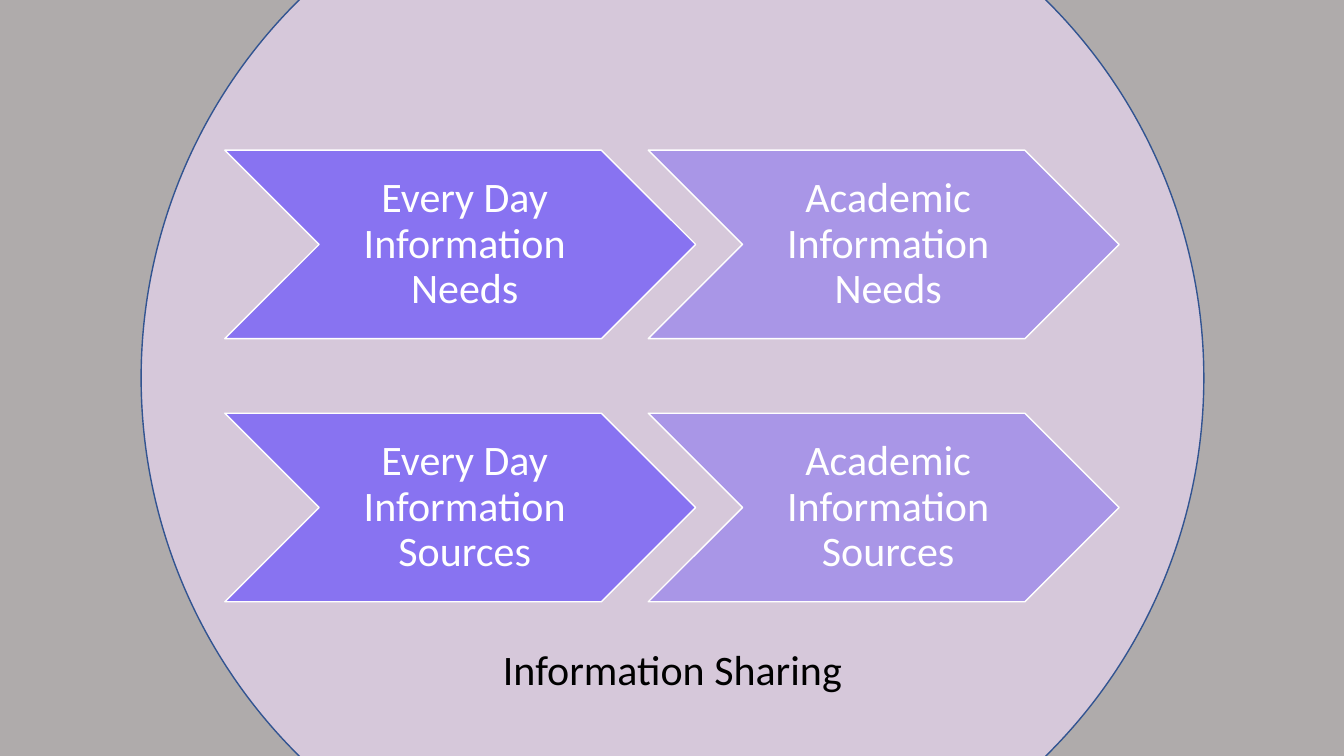
from pptx import Presentation
from pptx.dml.color import RGBColor
from pptx.enum.shapes import MSO_SHAPE as Shape
from pptx.enum.text import MSO_ANCHOR as Anchor, PP_ALIGN as Align
from pptx.util import Inches, Pt

GRAY = RGBColor(0xAF, 0xAB, 0xAB)
MAUVE = RGBColor(0xD6, 0xC8, 0xDA)
BLUE = RGBColor(0x32, 0x54, 0x91)
VIOLET = RGBColor(0x88, 0x73, 0xF1)
LILAC = RGBColor(0xA9, 0x96, 0xE7)
WHITE = RGBColor(0xFF, 0xFF, 0xFF)
BLACK = RGBColor(0, 0, 0)

SCOPES = [("Every Day", VIOLET), ("Academic", LILAC)]
TOPICS = ["Needs", "Sources"]


def add_form(slide, kind, box, fill, line):
    form = slide.shapes.add_shape(kind, *map(Inches, box))
    form.shadow.inherit = False
    form.fill.solid()
    form.fill.fore_color.rgb = fill
    form.line.color.rgb = line
    form.line.width = Pt(1)
    return form


def write(frame, text, color):
    """Write one centred line of text that wraps in its frame."""
    frame.word_wrap = True
    para = frame.paragraphs[0]
    para.alignment = Align.CENTER
    run = para.add_run()
    run.text = text
    run.font.name = "Calibri"
    run.font.size = Pt(30)
    run.font.color.rgb = color
    return para


def add_arrow(slide, box, text, fill):
    arrow = add_form(slide, Shape.CHEVRON, box, fill, WHITE)
    frame = arrow.text_frame
    frame.vertical_anchor = Anchor.MIDDLE
    frame.margin_left = Inches(0.13)
    frame.margin_right = frame.margin_top = frame.margin_bottom = Inches(0.04)
    write(frame, text, WHITE).line_spacing = 0.9


def add_grid(slide, left, top, width, height):
    """Place one row of arrows per topic; arrows in a row interlock."""
    wide, high = 4.67, 1.87
    step = width - wide
    drop = height - high
    for row, topic in enumerate(TOPICS):
        for col, (scope, fill) in enumerate(SCOPES):
            box = left + col * step, top + row * drop, wide, high
            add_arrow(slide, box, f"{scope} Information {topic}", fill)


def add_label(slide, left, top, width, height):
    label = slide.shapes.add_textbox(*map(Inches, (left, top, width, height)))
    write(label.text_frame, "Information Sharing", BLACK)


def main():
    deck = Presentation()
    deck.slide_width = Inches(13.33)
    deck.slide_height = Inches(7.5)
    slide = deck.slides.add_slide(deck.slide_layouts[6])
    back = slide.background.fill
    back.solid()
    back.fore_color.rgb = GRAY
    add_form(slide, Shape.OVAL, (1.4, -1.52, 10.54, 10.54), MAUVE, BLUE)
    add_grid(slide, 2.23, 1.49, 8.87, 4.48)
    add_label(slide, 3.38, 6.33, 6.58, 0.61)
    deck.save("out.pptx")


if __name__ == "__main__":
    main()
